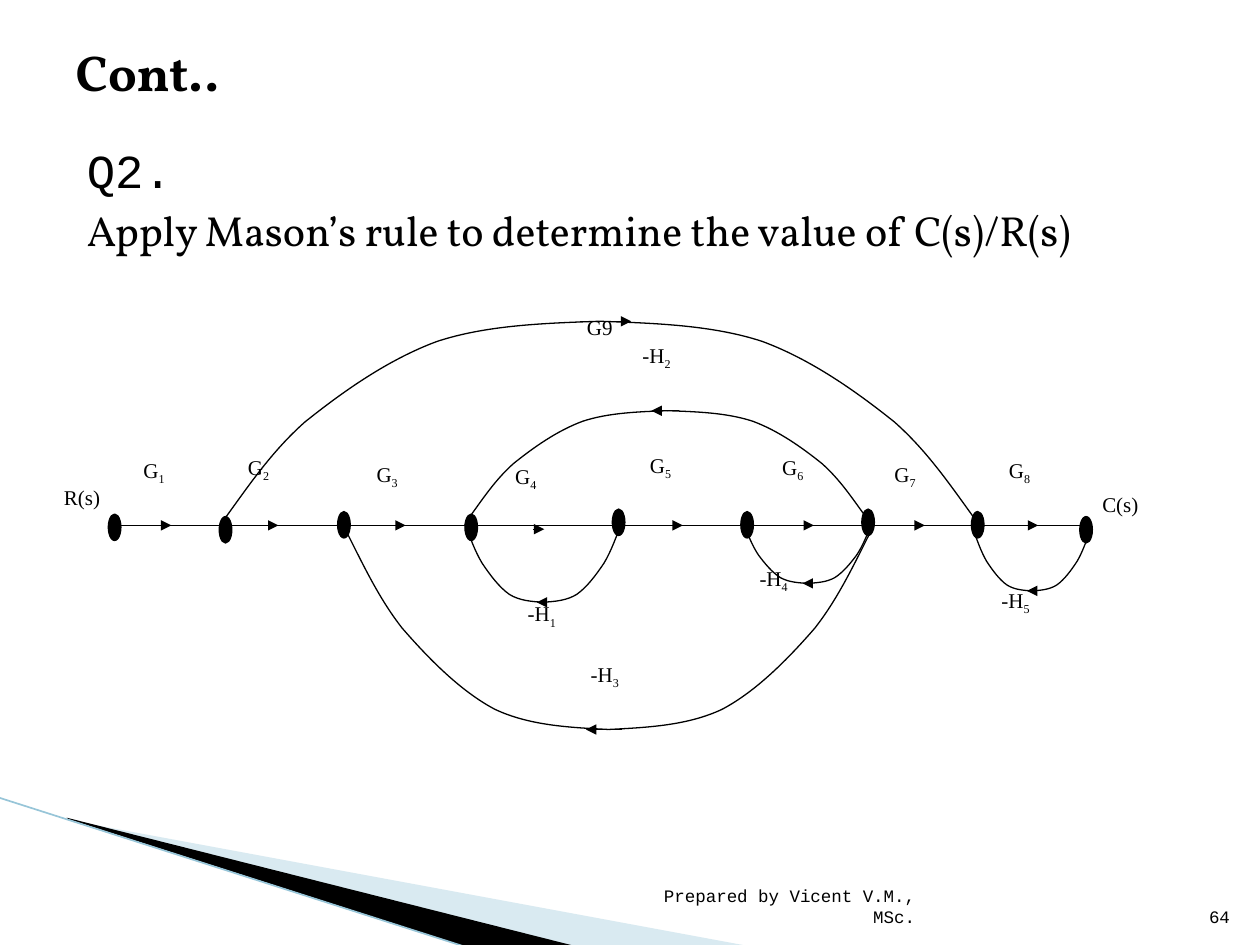
import pptx
import pptx.util
import pptx.dml.color
import pptx.enum.shapes
import pptx.enum.text
import pptx.oxml
import pptx.oxml.ns
from lxml import etree

PX = 9144
INK = {"black": "000000", "pale": "A0CBDC", "edge": "97C5D8"}
FONT = {"mono": "Courier New", "serif": "Times New Roman", "book": "Vollkorn"}
ALIGN = pptx.enum.text.PP_ALIGN
ANCHOR = pptx.enum.text.MSO_ANCHOR
HALF = [(0.15, 0.01), (0.3, 0.02), (0.43, 0.1), (0.56, 0.19), (0.68, 0.35),
        (0.78, 0.5), (0.87, 0.65), (0.93, 0.82), (1, 1)]

AXIS = 417
NODES = [(86, 408), (174, 410), (268, 406), (369, 408), (486, 404),
         (588, 406), (684, 404), (771, 406), (857, 410)]
HEADS = [(127, AXIS), (212, AXIS), (313, AXIS), (423, 420),
         (533, AXIS), (637, AXIS), (725, AXIS), (815, AXIS)]
ARCS = [(641, 463, 50, 418, 644, 637), (431, 478, 62, 416, 434, 426),
        (530, 326, 157, 410, 539, 517), (483, 579, 210, 418, 494, 465),
        (476, 255, 300, 415, 460, 501), (819, 469, 46, 422, 821, 815)]
LABELS = [("G", "1", 104, 358), ("G", "2", 187, 356), ("G", "3", 289, 361),
          ("G", "4", 399, 363), ("G", "5", 506, 354), ("G", "6", 611, 356),
          ("G", "7", 700, 361), ("G", "8", 791, 358), ("G9", "", 456, 245),
          ("-H", "1", 409, 472), ("-H", "2", 500, 267), ("-H", "3", 459, 520),
          ("-H", "4", 593, 444), ("-H", "5", 785, 461),
          ("R(s)", "", 41, 380), ("C(s)", "", 865, 385)]


class Pen:
    """Draws styled elements on the current slide."""

    def __init__(self, slide):
        self.slide = slide
        self.shapes = slide.shapes

    def tint(self, name):
        return pptx.dml.color.RGBColor.from_string(INK[name])

    def sub(self, node, tag, **attrs):
        return etree.SubElement(node, pptx.oxml.ns.qn(tag), attrs)

    def style(self, para, face, size, bold=False):
        para.font.name = FONT[face]
        para.font.size = pptx.util.Pt(size)
        para.font.bold = bold
        para.font.color.rgb = self.tint("black")

    def title(self, text, box):
        shape = self.shapes.title
        shape.left, shape.top, shape.width, shape.height = [v * PX for v in box]
        frame = shape.text_frame
        frame.text = text
        frame.word_wrap = True
        frame.auto_size = pptx.enum.text.MSO_AUTO_SIZE.NONE
        frame.vertical_anchor = ANCHOR.MIDDLE
        frame.paragraphs[0].alignment = ALIGN.LEFT
        self.style(frame.paragraphs[0], "book", 28.8, True)

    def text(self, lines, box, align=ALIGN.LEFT, anchor=ANCHOR.TOP):
        frame = self.shapes.add_textbox(*[v * PX for v in box]).text_frame
        frame.word_wrap = True
        frame.vertical_anchor = anchor
        for i, (text, face, size) in enumerate(lines):
            para = frame.add_paragraph() if i else frame.paragraphs[0]
            para.text = text
            para.alignment = align
            if i:
                para.space_before = pptx.util.Pt(4)
            self.style(para, face, size)
        return frame

    def label(self, text, low, x, y):
        frame = self.text([(text, "serif", 12)], (x, y, 60, 68))
        if low:
            run = frame.paragraphs[0].add_run()
            run.text = low
            run.font._element.set("baseline", "-25000")

    def node(self, x, y):
        kind = pptx.enum.shapes.MSO_SHAPE.OVAL
        shape = self.shapes.add_shape(kind, x * PX, y * PX, 10 * PX, 21 * PX)
        shape.shadow.inherit = False
        shape.fill.solid()
        shape.fill.fore_color.rgb = self.tint("black")
        self.edge(shape)

    def edge(self, shape, width=0.75, ink="black"):
        shape.line.color.rgb = self.tint(ink)
        shape.line.width = pptx.util.Pt(width)

    def line(self, x1, y1, x2, y2, width=0.75, ink="black", head=False):
        kind = pptx.enum.shapes.MSO_CONNECTOR.STRAIGHT
        link = self.shapes.add_connector(kind, x1 * PX, y1 * PX, x2 * PX, y2 * PX)
        self.edge(link, width, ink)
        props = link._element.spPr
        if head:
            self.sub(props.find(pptx.oxml.ns.qn("a:ln")), "a:tailEnd", type="triangle")
        self.sub(props, "a:effectLst")

    def outline(self, points, close):
        first, *rest = [(round(x * PX), round(y * PX)) for x, y in points]
        build = self.shapes.build_freeform(*first, scale=1.0)
        build.add_line_segments(rest, close=close)
        shape = build.convert_to_shape()
        shape.shadow.inherit = False
        return shape

    def wedge(self, points, ink, alpha=None):
        shape = self.outline(points, True)
        shape.fill.solid()
        shape.fill.fore_color.rgb = self.tint(ink)
        shape.line.fill.background()
        if alpha:
            color = next(shape._element.spPr.iter(pptx.oxml.ns.qn("a:srgbClr")))
            self.sub(color, "a:alpha", val=str(alpha * 1000))

    def arc(self, x, y, half, end, start, stop):
        for side in (-half, half):
            points = [(x + side * u, y + (end - y) * v) for u, v in HALF]
            shape = self.outline([(x, y)] + points, False)
            shape.fill.background()
            self.edge(shape)
            track = next(shape._element.iter(pptx.oxml.ns.qn("a:path")))
            steps = track.findall(pptx.oxml.ns.qn("a:lnTo"))
            for i in range(0, len(steps), 3):
                curve = self.sub(track, "a:cubicBezTo")
                for step in steps[i:i + 3]:
                    curve.append(step[0])
                    track.remove(step)
        self.line(start, y, stop, y, head=True)


def main():
    deck = pptx.Presentation()
    deck.slide_width, deck.slide_height = 1000 * PX, 750 * PX
    pen = Pen(deck.slides.add_slide(deck.slide_layouts[5]))

    pen.wedge([(55, 651), (595, 751), (456, 751), (55, 650)], "pale", 40)
    pen.wedge([(53, 649), (457, 751), (372, 752), (54, 650)], "black")
    pen.line(-1, 633, 371, 752, 0.95, "edge")

    pen.title("Cont..", (50, 30, 900, 54))
    body = pen.text([("Q2.", "mono", 27),
                     ("Apply Mason’s rule to determine the value of C(s)/R(s)", "book", 24)],
                    (47, 99, 900, 495))
    body.margin_left, body.margin_top = 22 * PX, 13 * PX
    for text, box in [("Prepared by Vicent V.M., MSc.", (479, 701, 257, 40)),
                      ("64", (946, 701, 40, 40))]:
        pen.text([(text, "mono", 10)], box, ALIGN.RIGHT, ANCHOR.BOTTOM)

    pen.line(91, AXIS, 861, AXIS, 1)
    for spot in NODES:
        pen.node(*spot)
    for x, y in HEADS:
        pen.line(x, y, x + 9, y, head=True)
    for loop in ARCS:
        pen.arc(*loop)
    for item in LABELS:
        pen.label(*item)

    deck.save("out.pptx")


if __name__ == "__main__":
    main()
